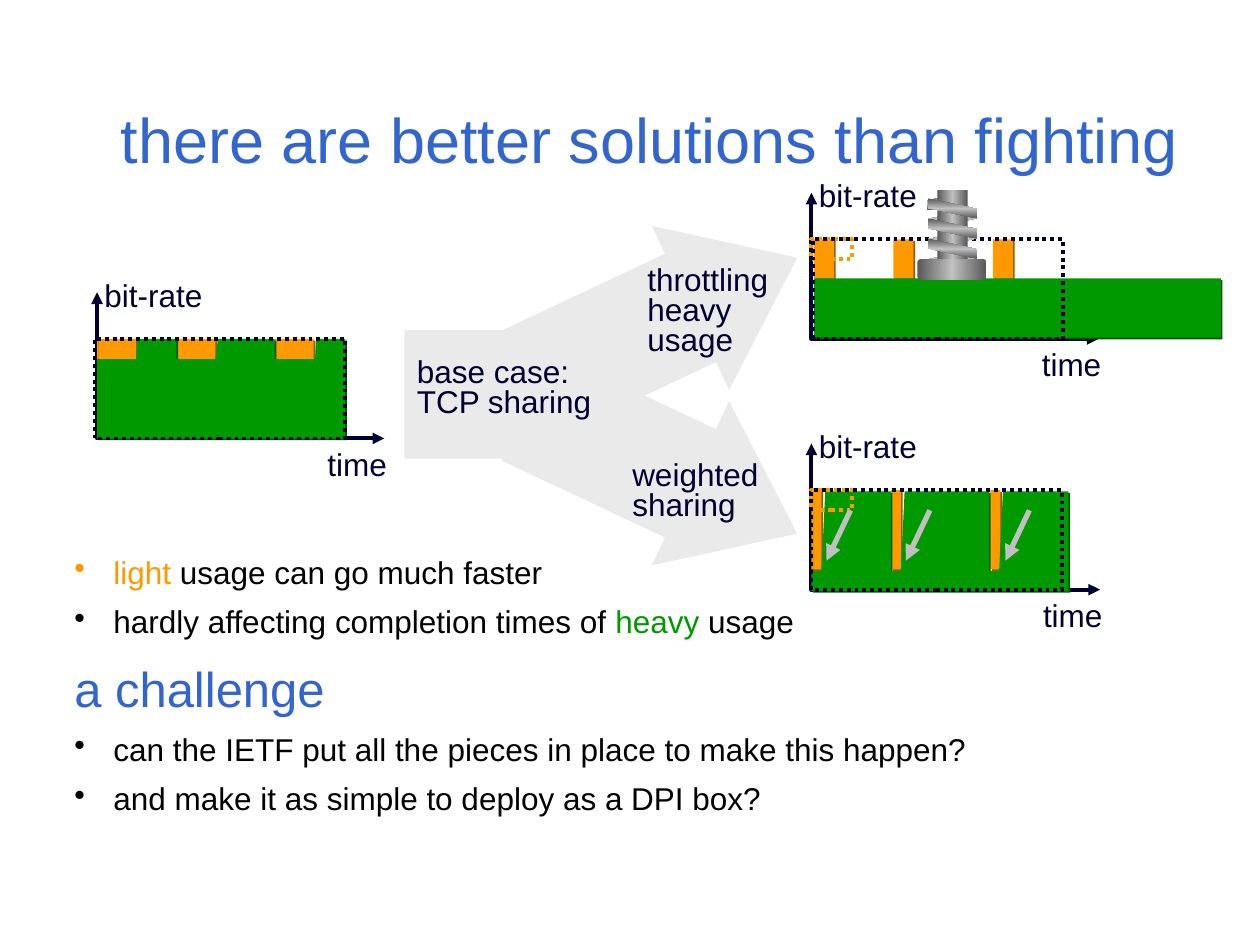
from lxml import etree
from pptx import Presentation
from pptx.dml.color import RGBColor
from pptx.enum.dml import MSO_LINE
from pptx.enum.shapes import MSO_CONNECTOR, MSO_SHAPE
from pptx.enum.text import MSO_AUTO_SIZE
from pptx.oxml import parse_xml
from pptx.oxml.ns import nsdecls, qn
from pptx.util import Pt

PX = 9144  # 100 px to the inch
FONT = "Arial"
BLUE, NAVY, BLACK = "3366CC", "000033", "000000"
ORANGE, GREEN = "FF9900", "009900"
ORANGE_SHADOW, GREEN_SHADOW = "985B00", "005B00"
PALE, SILVER, STEEL = "EAEAEA", "C0C0C0", "585858"

TITLE = "there are better solutions than fighting"
# Each line: runs of (text, colour), size, bullet colour, space before
BODY = [
    ([("light", ORANGE), (" usage can go much faster", BLACK)], 18, ORANGE, 0),
    ([("hardly affecting completion times of ", BLACK), ("heavy", GREEN),
      (" usage", BLACK)], 18, BLACK, 9),
    ([("a challenge", BLUE)], 28, None, 14),
    ([("can the IETF put all the pieces in place to make this happen?", BLACK)],
     18, BLACK, 9),
    ([("and make it as simple to deploy as a DPI box?", BLACK)], 18, BLACK, 9),
]
SCENARIOS = [
    ("base case:\nTCP sharing", (321, 280, 159, 58)),
    ("throttling\nheavy\nusage", (504, 207, 116, 82)),
    ("weighted\nsharing", (492, 362, 120, 58)),
]
# axis: left, top, bottom, right; light: lefts, top, width, height;
# heavy: left, top, right, bottom; notches: left, right, right at the top
CHARTS = [
    dict(axis=(77, 232, 348, 305), light=((77, 140, 218), 269, 31, 16),
         heavy=(77, 269, 274, 348), notch_bottom=285,
         notches=[(77, 108, 109), (140, 171, 173), (218, 250, 251)],
         frames=[(NAVY, (75, 269, 199, 79))]),
    dict(axis=(644, 153, 269, 872), light=((646, 709, 788), 190, 16, 31),
         heavy=(646, 221, 969, 268), notch_bottom=None, notches=[],
         frames=[(ORANGE, (644, 190, 32, 16)), (NAVY, (645, 190, 199, 79))]),
    dict(axis=(644, 352, 468, 873), light=((644, 707, 786), 389, 8, 63),
         heavy=(644, 390, 848, 469), notch_bottom=453,
         notches=[(644, 652, 655), (707, 715, 718), (785, 793, 796)],
         frames=[(ORANGE, (644, 389, 32, 16)), (NAVY, (644, 389, 199, 79))]),
]
SPEEDUPS = [675, 738, 817]


def colour(value):
    return RGBColor.from_string(value)


def px(*values):
    return [round(value * PX) for value in values]


def add_text(paragraph, text, size=18, color=NAVY):
    for index, line in enumerate(text.split("\n")):
        if index:
            paragraph.add_line_break()
        run = paragraph.add_run()
        run.text = line
        run.font.name, run.font.size = FONT, Pt(size)
        run.font.color.rgb = colour(color)


def add_frame(slide, box, margins=(0, 0), wrap=True):
    frame = slide.shapes.add_textbox(*px(*box)).text_frame
    frame.margin_left = frame.margin_right = px(margins[0])[0]
    frame.margin_top = frame.margin_bottom = px(margins[1])[0]
    frame.word_wrap = wrap
    return frame


def add_label(slide, text, box, spacing=1.0):
    frame = add_frame(slide, box, margins=(10, 5), wrap=False)
    frame.auto_size = MSO_AUTO_SIZE.SHAPE_TO_FIT_TEXT
    frame.paragraphs[0].line_spacing = spacing
    add_text(frame.paragraphs[0], text)


def paint(shape, fill=None, line=None, shadow=None):
    shape.shadow.inherit = False
    if fill:
        shape.fill.solid()
        shape.fill.fore_color.rgb = colour(fill)
    else:
        shape.fill.background()
    if line:
        shape.line.color.rgb = colour(line)
        shape.line.width = Pt(2.25)
    else:
        shape.line.fill.background()
    if shadow:
        shape._element.spPr.find(qn("a:effectLst")).append(parse_xml(
            f'<a:outerShdw {nsdecls("a")} blurRad="0" dist="17780" dir="2700000" '
            f'algn="tl" rotWithShape="0"><a:srgbClr val="{shadow}"/></a:outerShdw>'))
    return shape


def add_rectangle(slide, box, **style):
    return paint(slide.shapes.add_shape(MSO_SHAPE.RECTANGLE, *px(*box)), **style)


def add_outline(slide, points, close, **style):
    builder = slide.shapes.build_freeform(*points[0], scale=PX)
    builder.add_line_segments(points[1:], close=close)
    return paint(builder.convert_to_shape(), **style)


def add_arrowheads(shape, *ends):
    line = shape.line._get_or_add_ln()
    for end in ends:
        etree.SubElement(line, qn(f"a:{end}"), type="triangle")


def add_big_arrow(slide, top, rotation):
    arrow = slide.shapes.add_shape(MSO_SHAPE.RIGHT_ARROW, *px(407, top, 237, 144))
    arrow.adjustments[0], arrow.adjustments[1] = 0.66, 0.65
    arrow.rotation = rotation
    paint(arrow, fill=PALE)


def add_chart_sketch(slide, axis, light, heavy, notches, notch_bottom, frames):
    left, top, bottom, right = axis
    axes = add_outline(slide, [(left, top), (left, bottom), (right, bottom)],
                       False, line=NAVY)
    add_arrowheads(axes, "headEnd", "tailEnd")
    add_label(slide, "bit-rate", (left - 4, top - 18, 98, 40))
    add_label(slide, "time", (right - 55, bottom, 67, 40))

    lefts, bar_top, width, height = light
    for bar_left in lefts:
        add_rectangle(slide, (bar_left, bar_top, width, height),
                      fill=ORANGE, shadow=ORANGE_SHADOW)

    x1, y1, x2, y2 = heavy
    style = dict(fill=GREEN, shadow=GREEN_SHADOW)
    if notches:
        points = [(x1, y2)]
        for start, end, end_top in notches:
            points += [(start, y1), (start, notch_bottom),
                       (end, notch_bottom), (end_top, y1)]
        add_outline(slide, points + [(x2, y1), (x2, y2)], True, **style)
    else:
        add_rectangle(slide, (x1, y1, x2 - x1, y2 - y1), **style)

    for color, box in frames:
        frame = add_rectangle(slide, box, line=color)
        frame.line.dash_style = MSO_LINE.ROUND_DOT


def add_screw(slide):
    group = slide.shapes.add_group_shape()

    def add_part(kind, box, angle, adjustment=None, rotation=0, flip=False):
        part = paint(group.shapes.add_shape(kind, *px(*box)), fill=STEEL)
        if adjustment:
            part.adjustments[0] = adjustment
        part.rotation = rotation
        properties = part._element.spPr
        if flip:
            properties.find(qn("a:xfrm")).set("flipV", "1")
        stops = "".join(
            f'<a:gs pos="{position}"><a:srgbClr val="{color}"/></a:gs>'
            for position, color in ((0, STEEL), (50000, SILVER), (100000, STEEL)))
        gradient = parse_xml(
            f'<a:gradFill {nsdecls("a")} rotWithShape="1"><a:gsLst>{stops}</a:gsLst>'
            f'<a:lin ang="{angle * 60000}" scaled="1"/></a:gradFill>')
        properties.replace(properties.find(qn("a:solidFill")), gradient)

    thread = MSO_SHAPE.PARALLELOGRAM
    add_part(thread, (740, 151, 12, 20), 0, 0.34, 270, True)
    for top in (154, 170, 186):
        add_part(thread, (748, top, 16, 39), 0, 0.52, 270, True)
    add_part(MSO_SHAPE.ROUNDED_RECTANGLE, (728, 206, 55, 16), 180, 0.17)
    add_part(MSO_SHAPE.RECTANGLE, (744, 151, 24, 55), 180)
    for top in (178, 162, 146):
        add_part(thread, (748, top, 16, 39), 0, 0.52, 90)


def add_speedup(slide, x):
    arrow = slide.shapes.add_connector(MSO_CONNECTOR.STRAIGHT,
                                       *px(x, 405, x - 19, 445))
    arrow.line.color.rgb = colour(SILVER)
    arrow.line.width = Pt(3)
    add_arrowheads(arrow, "tailEnd")
    etree.SubElement(arrow._element.spPr, qn("a:effectLst"))


def add_body(slide):
    frame = add_frame(slide, (59, 442, 740, 236))
    for index, (runs, size, bullet, before) in enumerate(BODY):
        paragraph = frame.add_paragraph() if index else frame.paragraphs[0]
        paragraph.line_spacing, paragraph.space_before = 0.9, Pt(before)
        properties = paragraph._p.get_or_add_pPr()
        indent = px(31)[0]
        properties.set("marL", str(indent))
        properties.set("indent", str(-indent))
        if bullet:
            bullet_color = etree.SubElement(properties, qn("a:buClr"))
            etree.SubElement(bullet_color, qn("a:srgbClr"), val=bullet)
            etree.SubElement(properties, qn("a:buChar"), char="•")
        for text, color in runs:
            add_text(paragraph, text, size=size, color=color)


def main():
    presentation = Presentation()
    presentation.slide_width, presentation.slide_height = px(1000, 750)
    slide = presentation.slides.add_slide(presentation.slide_layouts[6])
    title = add_frame(slide, (96, 80, 848, 99))
    add_text(title.paragraphs[0], TITLE, size=36, color=BLUE)
    add_body(slide)
    add_rectangle(slide, (321, 262, 173, 102), fill=PALE)
    add_big_arrow(slide, 183, -25.2)
    add_big_arrow(slide, 301, 25.2)
    for chart in CHARTS:
        add_chart_sketch(slide, **chart)
    add_screw(slide)
    for x in SPEEDUPS:
        add_speedup(slide, x)
    for text, box in SCENARIOS:
        add_label(slide, text, box, spacing=0.8)
    presentation.save("out.pptx")


if __name__ == "__main__":
    main()
